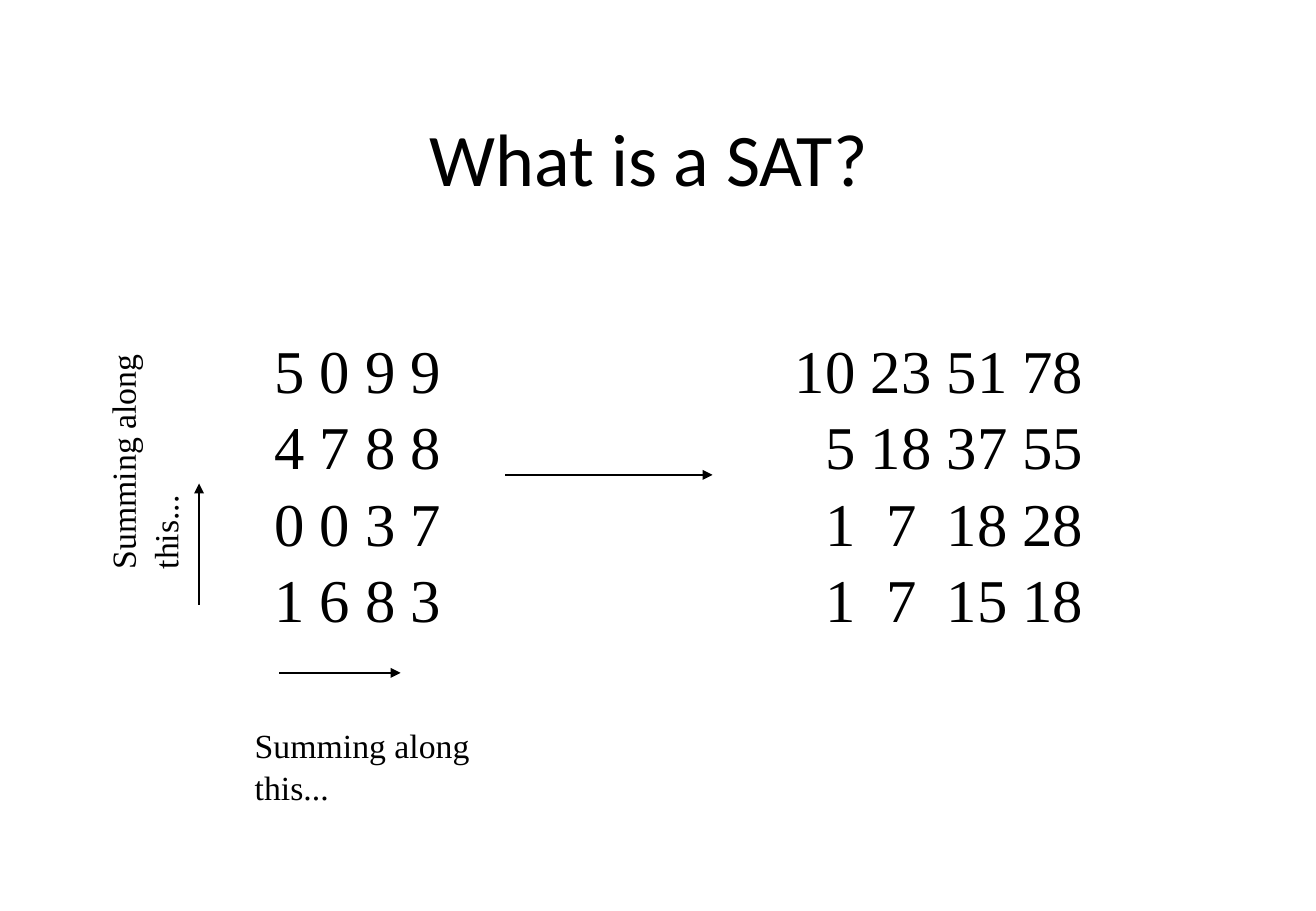
from dataclasses import dataclass

from pptx import Presentation
from pptx.dml.color import RGBColor
from pptx.enum.shapes import MSO_CONNECTOR
from pptx.enum.text import MSO_ANCHOR, PP_ALIGN
from pptx.oxml.ns import qn
from pptx.util import Inches, Pt
from lxml.etree import SubElement


@dataclass(frozen=True)
class Theme:
    ink: RGBColor = RGBColor(0, 0, 0)
    paper: RGBColor = RGBColor(255, 255, 255)
    head: str = "Calibri"
    body: str = "Times New Roman"
    title: int = 44
    number: int = 36
    label: int = 20
    line: float = 0.75
    lead: float = 1.05


def apply(target, values):
    for name, value in values.items():
        setattr(target, name, value)


class Board:
    cols, rows = 108.4, 75

    def __init__(self, deck, theme):
        self.theme = theme
        self.wide, self.high = deck.slide_width, deck.slide_height
        self.slide = deck.slides.add_slide(deck.slide_layouts[5])
        fill = self.slide.background.fill
        fill.solid()
        fill.fore_color.rgb = theme.paper

    def place(self, x, y):
        return round(x * self.wide / self.cols), round(y * self.high / self.rows)

    def letter(self, para, words, face, size, **form):
        apply(para, form)
        run = para.add_run()
        run.text = words
        apply(run.font, {"name": face, "size": Pt(size)})
        run.font.color.rgb = self.theme.ink

    def title(self, words, x, y, w, h):
        shape = self.slide.shapes.title
        left, top = self.place(x, y)
        width, height = self.place(w, h)
        apply(shape, {"left": left, "top": top, "width": width, "height": height})
        shape.text_frame.vertical_anchor = MSO_ANCHOR.MIDDLE
        self.letter(shape.text_frame.paragraphs[0], words, self.theme.head,
                    self.theme.title, alignment=PP_ALIGN.CENTER)

    def text(self, lines, x, y, w, h, size, turn=0, tabs=()):
        box = self.slide.shapes.add_textbox(*self.place(x, y), *self.place(w, h))
        box.rotation = turn
        frame = box.text_frame
        frame.word_wrap = True
        for index, line in enumerate(lines):
            para = frame.add_paragraph() if index else frame.paragraphs[0]
            if tabs:
                stops = SubElement(para._p.get_or_add_pPr(), qn("a:tabLst"))
                for spot, kind in tabs:
                    SubElement(stops, qn("a:tab"), pos=str(Pt(spot)), algn=kind)
            self.letter(para, line, self.theme.body, size, line_spacing=self.theme.lead)

    def arrow(self, x, y, across=0, up=0):
        link = self.slide.shapes.add_connector(
            MSO_CONNECTOR.STRAIGHT, *self.place(x, y), *self.place(x + across, y - up))
        link.line.width = Pt(self.theme.line)
        link.line.color.rgb = self.theme.ink
        SubElement(link.line._get_or_add_ln(), qn("a:tailEnd"), type="triangle")
        SubElement(link._element.spPr, qn("a:effectLst"))


def main():
    deck = Presentation()
    apply(deck, {"slide_width": Inches(10.84), "slide_height": Inches(7.5)})
    theme = Theme()
    board = Board(deck, theme)
    board.title("What is a SAT? ", 8.1, 6.7, 92.1, 12.5)

    source = ["5 0 9 9", "4 7 8 8", "0 0 3 7", "1 6 8 3"]
    board.text(source, 21.6, 26.6, 16, 25, theme.number)

    sums = [(10, 23, 51, 78), (5, 18, 37, 55), (1, 7, 18, 28), (1, 7, 15, 18)]
    lines = ["\t" + "\t".join(map(str, row)) for row in sums]
    digit = theme.number / 2
    tabs = [(2 * digit, "r")] + [((1 + 2.5 * n) * digit, "ctr") for n in (1, 2, 3)]
    board.text(lines, 64.5, 26.6, 27, 25, theme.number, tabs=tabs)

    board.arrow(41.6, 39.1, across=17.1)
    board.arrow(16.4, 49.8, up=10)
    board.arrow(23, 55.4, across=10)

    for x, y, turn in ((20, 59, 0), (0.6, 33, -90)):
        board.text(["Summing along this..."], x, y, 22, 7.7, theme.label, turn)
    deck.save("out.pptx")


if __name__ == "__main__":
    main()
